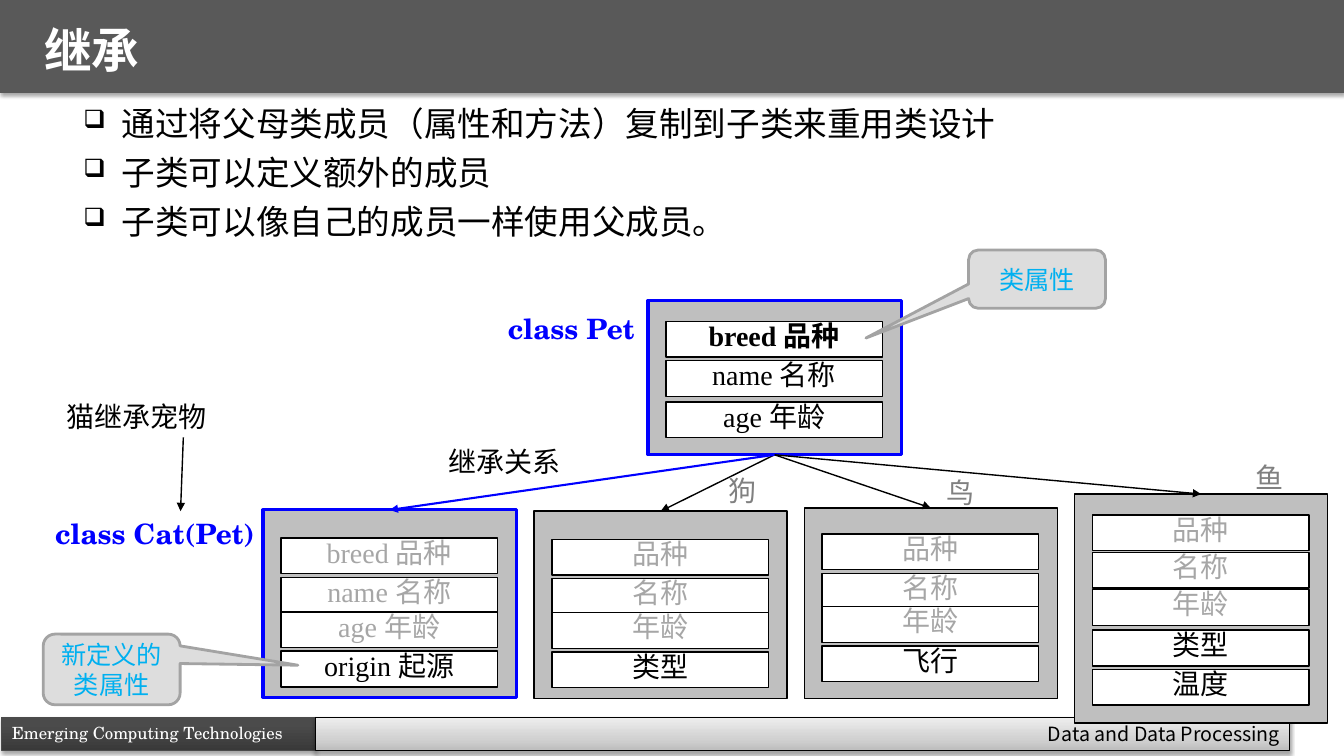
import pptx
import pptx.util
import pptx.dml.color
import pptx.enum.shapes
import pptx.enum.text
import pptx.oxml.ns
from lxml import etree

Cm, Pt = pptx.util.Cm, pptx.util.Pt
RGB = pptx.dml.color.RGBColor.from_string
SHAPE = pptx.enum.shapes.MSO_SHAPE
ALIGN = pptx.enum.text.PP_ALIGN
ANCHOR = pptx.enum.text.MSO_ANCHOR
qn = pptx.oxml.ns.qn

HUE = {
    "black": "000000", "white": "FFFFFF", "blue": "0000FF", "sky": "00B0F0",
    "header": "595959", "edge": "4B4B4B", "box": "BFBFBF", "faded": "A6A6A6",
    "label": "808080", "bubble": "DDDDDD", "rim": "A3A3A3",
}
TIMES, SCHOLA, NOTO = "Times New Roman", "TeX Gyre Schola", "Noto Sans CJK SC"


def box(kind, place, fill, line=None, width=1):
    """Add a flat preset shape; place is left, top, width, height in cm."""
    shape = slide.shapes.add_shape(kind, *map(Cm, place))
    shape.shadow.inherit = False
    shape.fill.solid()
    shape.fill.fore_color.rgb = RGB(HUE[fill])
    if line:
        shape.line.color.rgb = RGB(HUE[line])
        shape.line.width = Pt(width)
    else:
        shape.line.fill.background()
    return shape


def write(shape, text, size, hue, font=TIMES, bold=False,
          align=ALIGN.LEFT, anchor=ANCHOR.BOTTOM):
    frame = shape.text_frame
    frame.text = text
    frame.word_wrap = True
    frame.vertical_anchor = anchor
    for para in frame.paragraphs:
        para.alignment = align
        for run in para.runs:
            run.font.size = Pt(size)
            run.font.bold = bold
            run.font.name = font
            run.font.color.rgb = RGB(HUE[hue])
            etree.SubElement(run._r.get_or_add_rPr(), qn("a:ea"), typeface=NOTO)
    return frame.paragraphs


deck = pptx.Presentation()
deck.slide_width, deck.slide_height = Cm(33.87), Cm(19.05)
slide = deck.slides.add_slide(deck.slide_layouts[6])

# Header and footer bars
head = box(SHAPE.RECTANGLE, (0, 0, 33.87, 2.34), "header")
left = box(SHAPE.RECTANGLE, (0.05, 18.08, 7.9, 0.84), "edge", "edge", 0.75)
right = box(SHAPE.RECTANGLE, (7.95, 18.08, 24.56, 0.84), "bubble", "black", 0.75)
write(left, "Emerging Computing Technologies", 12, "white", SCHOLA, anchor=ANCHOR.TOP)
write(right, "Data and Data Processing", 14, "black", NOTO,
      align=ALIGN.RIGHT, anchor=ANCHOR.MIDDLE)

for bar, stops in [
    (left, [(0, "393939"), (80, "4B4B4B"), (100, "4B4B4B")]),
    (right, [(0, "BDBDBD"), (35, "D1D1D1"), (100, "EEEEEE")]),
]:
    bar.fill.gradient()
    bar.fill.gradient_angle = 90
    ramp = bar._element.spPr.find(".//" + qn("a:gsLst"))
    ramp.clear()
    for pos, tone in stops:
        stop = etree.SubElement(ramp, qn("a:gs"), pos=str(pos * 1000))
        etree.SubElement(stop, qn("a:srgbClr"), val=tone)

for bar in (head, left, right):
    glow = etree.SubElement(
        bar._element.spPr.find(qn("a:effectLst")), qn("a:outerShdw"),
        blurRad=str(Pt(3.1)), dist=str(Pt(1.8)), dir="5400000", rotWithShape="0")
    tint = etree.SubElement(glow, qn("a:srgbClr"), val=HUE["black"])
    etree.SubElement(tint, qn("a:alpha"), val="35000")

# Title and bullet points
title = slide.shapes.add_textbox(Cm(0.84), Cm(0.48), Cm(32.18), Cm(1.78))
para = write(title, "继承", 34, "white", bold=True, anchor=ANCHOR.MIDDLE)[0]
para.line_spacing = 0.85
para.space_before = Pt(6.8)

body = slide.shapes.add_textbox(Cm(1.37), Cm(2.41), Cm(31.12), Cm(6.78))
points = [
    "通过将父母类成员（属性和方法）复制到子类来重用类设计",
    "子类可以定义额外的成员",
    "子类可以像自己的成员一样使用父成员。",
]
for para in write(body, "\n".join(points), 24, "black", anchor=ANCHOR.TOP):
    para.line_spacing = 1.05
    para.space_before = Pt(4.8)
    props = para._p.get_or_add_pPr()
    props.set("marL", str(Cm(1.42)))
    props.set("indent", str(Cm(-0.97)))
    tint = etree.SubElement(props, qn("a:buClr"))
    etree.SubElement(tint, qn("a:srgbClr"), val=HUE["black"])
    etree.SubElement(props, qn("a:buSzPct"), val="75000")
    etree.SubElement(props, qn("a:buChar"), char="❑")

for frame in (title.text_frame, body.text_frame):
    frame.margin_left = frame.margin_right = Cm(0.28)

# Class boxes: left, top, height, edge, inherited count, rows with offsets
pets = {
    "pet": (16.33, 7.57, 3.89, "blue", 0,
            [(0.53, "breed 品种"), (1.52, "name 名称"), (2.56, "age 年龄")]),
    "cat": (6.63, 12.85, 4.72, "blue", 3,
            [(0.71, "breed 品种"), (1.7, "name 名称"), (2.57, "age 年龄"),
             (3.56, "origin 起源")]),
    "dog": (13.46, 12.88, 4.72, "black", 3,
            [(0.71, "品种"), (1.7, "名称"), (2.56, "年龄"), (3.55, "类型")]),
    "bird": (20.27, 12.8, 4.8, "black", 3,
             [(0.66, "品种"), (1.65, "名称"), (2.49, "年龄"), (3.48, "飞行")]),
    "fish": (27.08, 12.45, 5.77, "black", 3,
             [(0.53, "品种"), (1.47, "名称"), (2.41, "年龄"), (3.43, "类型"),
              (4.42, "温度")]),
}
cards = {}
for name, (x, y, high, edge, passed, rows) in pets.items():
    cards[name] = box(SHAPE.RECTANGLE, (x, y, 6.38, high), "box", edge,
                      2.25 if edge == "blue" else 1)
    for i, (drop, text) in enumerate(rows):
        row = box(SHAPE.RECTANGLE, (x + 0.45, y + drop, 5.46, 0.9), "white", "black")
        para = write(row, text, 20, "faded" if i < passed else "black",
                     bold=(name == "pet" and i == 0), align=ALIGN.CENTER)[0]
        para.line_spacing = Pt(13)

# Arrows: from the parent to each child, and from the note to its class
links = [("dog", "black", 1), ("bird", "black", 1), ("fish", "black", 1),
         ("cat", "blue", 1.5), (None, "black", 1)]
for child, hue, width in links:
    link = slide.shapes.add_connector(
        pptx.enum.shapes.MSO_CONNECTOR.STRAIGHT,
        Cm(4.62), Cm(11.02), Cm(4.55), Cm(12.88))
    if child:
        link.begin_connect(cards["pet"], 2)
        link.end_connect(cards[child], 0)
    link.line.color.rgb = RGB(HUE[hue])
    link.line.width = Pt(width)
    etree.SubElement(link.line._get_or_add_ln(), qn("a:tailEnd"), type="triangle")
    etree.SubElement(link._element.spPr, qn("a:effectLst"))

# Labels
for text, x, y, wide, hue, font in [
    ("继承关系", 11.05, 11.05, 6.88, "black", TIMES),
    ("class Pet", 12.55, 7.7, 4.9, "blue", SCHOLA),
    ("狗", 18.11, 11.79, 2.13, "label", TIMES),
    ("鸟", 23.6, 11.84, 1.96, "label", TIMES),
    ("鱼", 29.77, 11.46, 2.82, "label", TIMES),
    ("class Cat(Pet)", 1.14, 12.88, 6.81, "blue", SCHOLA),
    ("猫继承宠物", 1.42, 9.93, 6.38, "black", TIMES),
]:
    label = slide.shapes.add_textbox(Cm(x), Cm(y), Cm(wide), Cm(1.12))
    write(label, text, 20, hue, font, bold=(font == SCHOLA),
          align=ALIGN.RIGHT if text == "鱼" else ALIGN.LEFT)

# Callouts
for text, place, tip in [
    ("类属性", (24.41, 6.3, 3.45, 1.47), (-1.25, 1.01)),
    ("新定义的类属性", (1.09, 15.98, 3.45, 1.78), (1.36, -0.06)),
]:
    note = box(SHAPE.ROUNDED_RECTANGULAR_CALLOUT, place, "bubble", "rim", 2)
    note.adjustments[0], note.adjustments[1] = tip
    write(note, text, 18, "sky", NOTO, align=ALIGN.CENTER, anchor=ANCHOR.MIDDLE)

deck.save("out.pptx")
